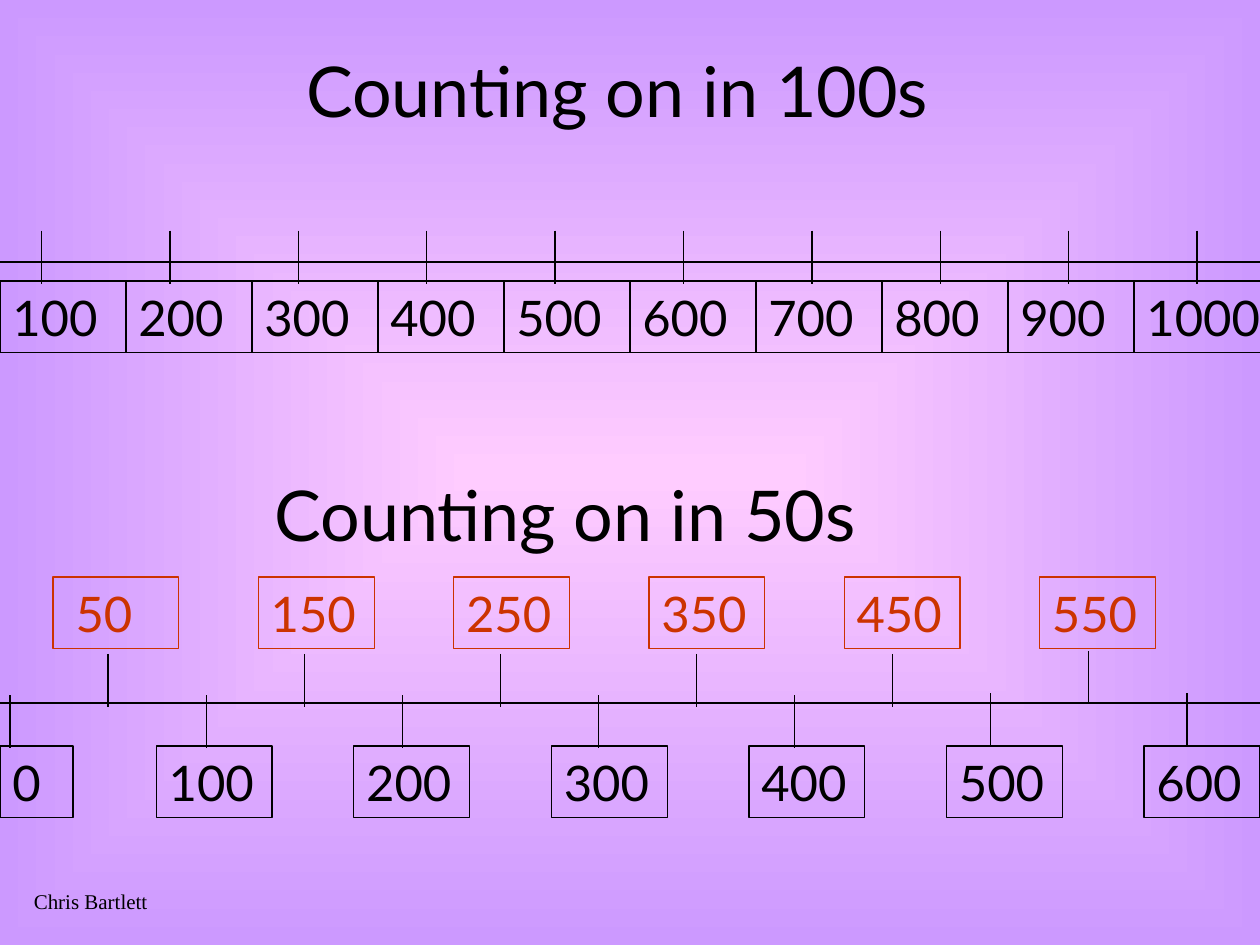
from dataclasses import dataclass

from lxml.etree import SubElement
from pptx import Presentation
from pptx.dml.color import RGBColor
from pptx.enum.shapes import MSO_CONNECTOR, MSO_SHAPE
from pptx.enum.text import MSO_ANCHOR, MSO_AUTO_SIZE, PP_ALIGN
from pptx.oxml.ns import qn
from pptx.util import Inches, Pt


@dataclass(frozen=True)
class Theme:
    ink = RGBColor.from_string("000000")
    accent = RGBColor.from_string("CC3300")
    centre = RGBColor.from_string("FFCCFF")
    edge = RGBColor.from_string("CC99FF")
    font = "Lato"
    author_font = "Times New Roman"
    title_size = 40
    number_size = 28
    author_size = 12
    line_width = Pt(0.75)


THEME = Theme()

HUNDREDS_TITLE = "Counting on in 100s"
FIFTIES_TITLE = "Counting on in 50s"
AUTHOR = "Chris Bartlett"
HUNDREDS = range(100, 1001, 100)
FIFTIES = range(0, 601, 50)

SLIDE_WIDTH, SLIDE_HEIGHT = 10, 7.5
BOX_HEIGHT = 0.57
TICK_LENGTH = 0.42

# Line of hundreds
HUNDREDS_LINE_Y, HUNDREDS_TICK_Y, HUNDREDS_BOX_Y = 2.08, 1.83, 2.23
HUNDREDS_FIRST_TICK, HUNDREDS_LAST_TICK = 0.33, 9.5

# Line of fifties: odd fifties above, whole hundreds below
FIFTIES_LINE_Y = 5.58
UPPER_TICK_Y, LOWER_TICK_Y = 5.19, 5.52
UPPER_BOX_Y, LOWER_BOX_Y = 4.58, 5.92
FIFTIES_FIRST_TICK, FIFTIES_LAST_TICK = 0.08, 9.42
RAISED_FROM, TICK_RAISE = 500, 0.02
FIFTIES_BOX_WIDTH = 0.92


def spread(first, last, count):
    step = (last - first) / (count - 1)
    return [first + step * i for i in range(count)]


def paint_background(slide):
    """Fill the slide with a rectangular gradient that starts in its centre."""
    fill = slide.background.fill
    fill.gradient()
    for stop, color in zip(fill.gradient_stops, (THEME.centre, THEME.edge)):
        stop.color.rgb = color
    gradient = slide.element.find(".//" + qn("a:gradFill"))
    gradient.remove(gradient.find(qn("a:lin")))
    shade = SubElement(gradient, qn("a:path"), {"path": "rect"})
    SubElement(shade, qn("a:fillToRect"), dict.fromkeys("ltrb", "50000"))


def write(shape, text, size, color=THEME.ink, font=THEME.font, indent=0.1):
    frame = shape.text_frame
    frame.text = text
    frame.word_wrap = True
    frame.auto_size = MSO_AUTO_SIZE.SHAPE_TO_FIT_TEXT
    frame.vertical_anchor = MSO_ANCHOR.TOP
    frame.margin_left, frame.margin_right = Inches(indent), Inches(0.1)
    frame.margin_top = frame.margin_bottom = Inches(0.05)
    paragraph = frame.paragraphs[0]
    paragraph.alignment = PP_ALIGN.LEFT
    paragraph.font.name = font
    paragraph.font.size = Pt(size)
    paragraph.font.color.rgb = color


def add_line(shapes, x1, y1, x2, y2):
    line = shapes.add_connector(
        MSO_CONNECTOR.STRAIGHT, Inches(x1), Inches(y1), Inches(x2), Inches(y2))
    line.line.color.rgb = THEME.ink
    line.line.width = THEME.line_width
    SubElement(line.element.spPr, qn("a:effectLst"))


def add_number(slide, number, x, y, width, color=THEME.ink, indent=0.1):
    box = slide.shapes.add_shape(
        MSO_SHAPE.RECTANGLE, Inches(x), Inches(y), Inches(width), Inches(BOX_HEIGHT))
    box.shadow.inherit = False
    box.fill.background()
    box.line.color.rgb = color
    box.line.width = THEME.line_width
    write(box, str(number), THEME.number_size, color, indent=indent)


def add_hundreds(slide):
    add_line(slide.shapes, 0, HUNDREDS_LINE_Y, SLIDE_WIDTH, HUNDREDS_LINE_Y)
    ticks = slide.shapes.add_group_shape().shapes
    for x in spread(HUNDREDS_FIRST_TICK, HUNDREDS_LAST_TICK, len(HUNDREDS)):
        add_line(ticks, x, HUNDREDS_TICK_Y, x, HUNDREDS_TICK_Y + TICK_LENGTH)
    for column, number in enumerate(HUNDREDS):
        width = 1.25 if number == 1000 else 1
        add_number(slide, number, column, HUNDREDS_BOX_Y, width)


def add_fifties(slide):
    add_line(slide.shapes, 0, FIFTIES_LINE_Y, SLIDE_WIDTH, FIFTIES_LINE_Y)

    add_number(slide, 0, 0, LOWER_BOX_Y, 0.58)
    whole = FIFTIES[2::2]
    for number, x in zip(whole, spread(1.24, 9.08, len(whole))):
        add_number(slide, number, x, LOWER_BOX_Y, FIFTIES_BOX_WIDTH)

    add_number(slide, 50, 0.42, UPPER_BOX_Y, 1, THEME.accent, indent=0.18)
    odd = FIFTIES[3::2]
    for number, x in zip(odd, spread(2.05, 8.25, len(odd))):
        add_number(slide, number, x, UPPER_BOX_Y, FIFTIES_BOX_WIDTH, THEME.accent)

    ticks = slide.shapes.add_group_shape().shapes
    tick_xs = spread(FIFTIES_FIRST_TICK, FIFTIES_LAST_TICK, len(FIFTIES))
    for number, x in zip(FIFTIES, tick_xs):
        top = UPPER_TICK_Y if number % 100 else LOWER_TICK_Y
        if number >= RAISED_FROM:
            top -= TICK_RAISE
        add_line(ticks, x, top, x, top + TICK_LENGTH)


def main():
    deck = Presentation()
    deck.slide_width, deck.slide_height = Inches(SLIDE_WIDTH), Inches(SLIDE_HEIGHT)
    slide = deck.slides.add_slide(deck.slide_layouts[5])
    paint_background(slide)

    author = slide.shapes.add_textbox(Inches(0.17), Inches(7), Inches(1.17), Inches(0.3))
    write(author, AUTHOR, THEME.author_size, font=THEME.author_font)

    title = slide.shapes.title
    title.left, title.top = Inches(2.33), Inches(0.33)
    title.width, title.height = Inches(5.58), Inches(0.77)
    write(title, HUNDREDS_TITLE, THEME.title_size)
    add_hundreds(slide)

    second_title = slide.shapes.add_textbox(
        Inches(2.08), Inches(3.69), Inches(5.58), Inches(0.77))
    write(second_title, FIFTIES_TITLE, THEME.title_size)
    add_fifties(slide)

    deck.save("out.pptx")


if __name__ == "__main__":
    main()
